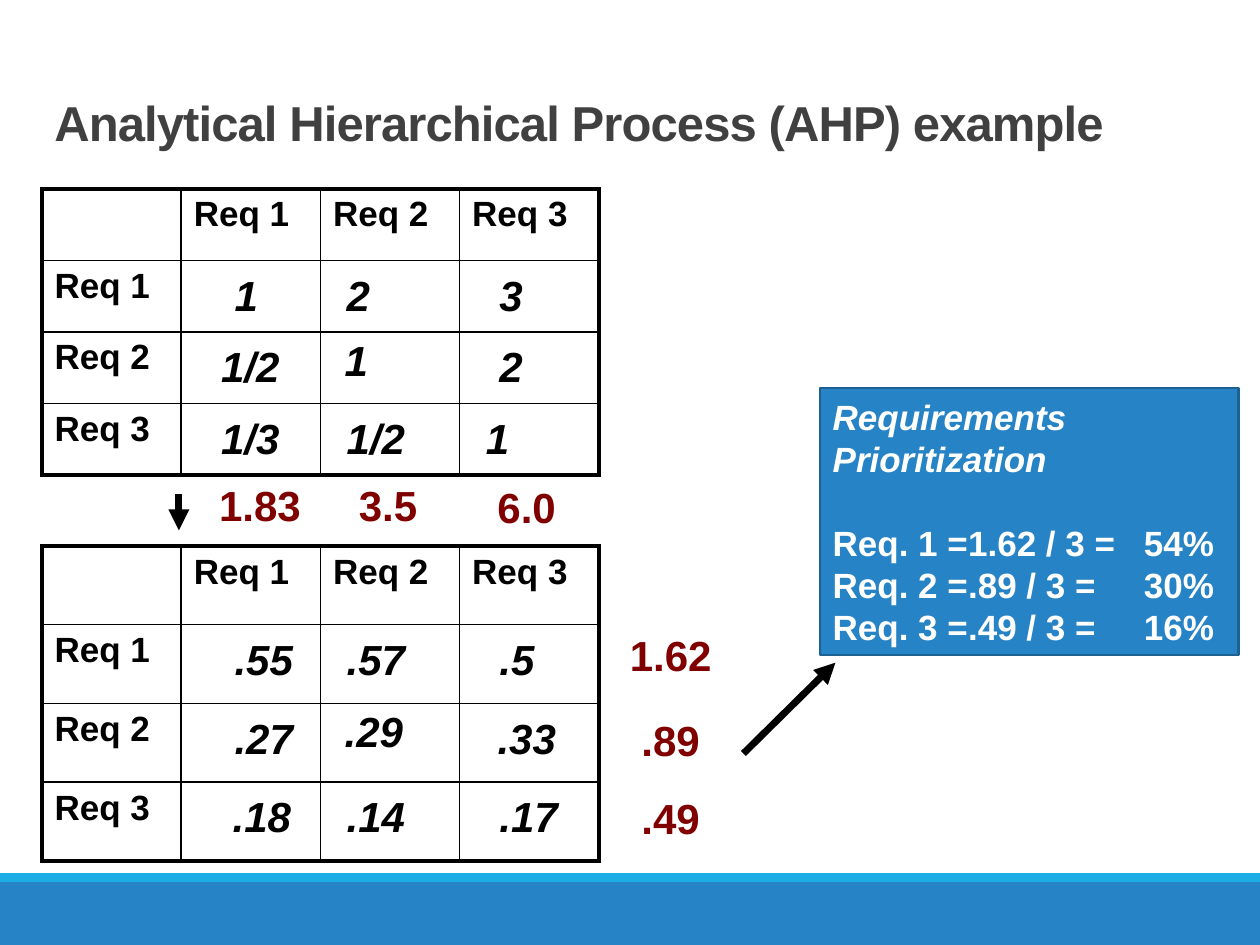
from dataclasses import dataclass

from pptx import Presentation
from pptx.dml.color import RGBColor
from pptx.enum.dml import MSO_LINE
from pptx.enum.shapes import MSO_CONNECTOR as CONN, MSO_SHAPE as SHAPE
from pptx.enum.text import MSO_ANCHOR as ANCHOR, MSO_AUTO_SIZE as AUTO, PP_ALIGN as ALIGN
from pptx.oxml.xmlchemy import OxmlElement
from pptx.util import Pt

BLACK = RGBColor(0x00, 0x00, 0x00)
WHITE = RGBColor(0xFF, 0xFF, 0xFF)
GREY = RGBColor(0x40, 0x40, 0x40)
MAROON = RGBColor(0x80, 0x00, 0x00)
BLUE = RGBColor(0x26, 0x83, 0xC6)
DARK_BLUE = RGBColor(0x1C, 0x61, 0x92)
SKY = RGBColor(0x1C, 0xAD, 0xE4)
FONT = "Arial"
REQS = ("Req 1", "Req 2", "Req 3")
COL_W = 79.56
INSET_X, INSET_Y = 7.2, 3.6
THIN, THICK = 1, 2.25


@dataclass(frozen=True)
class Value:
    text: str
    indent: float
    drop: float = 3.6


@dataclass(frozen=True)
class Matrix:
    top: float
    row_h: float
    values: tuple[tuple[Value, ...], ...]


@dataclass(frozen=True)
class Total:
    text: str
    left: float
    top: float
    width: float


@dataclass(frozen=True)
class Arrow:
    x1: float
    y1: float
    x2: float
    y2: float


@dataclass(frozen=True)
class Priority:
    label: str
    weight: str
    share: str


MATRICES = (
    Matrix(108, 40.86, (
        (Value("1", 23.3), Value("2", 7.8), Value("3", 15.6)),
        (Value("1/2", 15.6), Value("1", 6.7, 0), Value("2", 15.6)),
        (Value("1/3", 15.6), Value("1/2", 7.8), Value("1", 7.8)),
    )),
    Matrix(312, 45, (
        (Value(".55", 23.3), Value(".57", 7.8), Value(".5", 15.6)),
        (Value(".27", 23.3), Value(".29", 6.7, 0), Value(".33", 14.5)),
        (Value(".18", 22.2), Value(".14", 7.8), Value(".17", 15.6)),
    )),
)
TOTALS = (
    Total("1.83", 118.1, 270.7, 61.1),
    Total("3.5", 198, 270.7, 47.8),
    Total("6.0", 277.2, 271.4, 47.8),
    Total("1.62", 352.8, 356.4, 61.1),
    Total(".89", 359.5, 404.6, 47.8),
    Total(".49", 359.5, 449.3, 47.8),
)
ARROWS = (Arrow(102.2, 282.2, 102.2, 303.1), Arrow(424.8, 430.6, 477.4, 378.7))
PRIORITIES = (
    Priority("Req. 1 =", "1.62", "54%"),
    Priority("Req. 2 =", ".89", "30%"),
    Priority("Req. 3 =", ".49", "16%"),
)


def add_run(p, text: str, size: float, color: RGBColor, italic: bool = False):
    r = p.add_run()
    r.text = text
    f = r.font
    f.name, f.size, f.bold, f.italic = FONT, Pt(size), True, italic
    f.color.rgb = color
    return r


def add_rect(s, left: float, top: float, width: float, height: float, fill: RGBColor):
    sp = s.shapes.add_shape(SHAPE.RECTANGLE, Pt(left), Pt(top), Pt(width), Pt(height))
    sp.shadow.inherit = False
    sp.fill.solid()
    sp.fill.fore_color.rgb = fill
    sp.line.fill.background()
    return sp


def add_title(s, text: str) -> None:
    tf = s.shapes.add_textbox(Pt(24), Pt(18), Pt(648), Pt(72)).text_frame
    tf.word_wrap = True
    tf.vertical_anchor = ANCHOR.BOTTOM
    p = tf.paragraphs[0]
    p.line_spacing = 0.85
    r = add_run(p, text, 28, GREY)
    r.font._element.set("spc", "-50")


def set_border(cell, side: str, width: float) -> None:
    ln = OxmlElement(f"a:ln{side}")
    ln.set("w", str(Pt(width)))
    fill = OxmlElement("a:solidFill")
    color = OxmlElement("a:srgbClr")
    color.set("val", str(BLACK))
    fill.append(color)
    ln.append(fill)
    cell._tc.get_or_add_tcPr().append(ln)


def add_matrix(s, m: Matrix) -> None:
    n = len(REQS) + 1
    tbl = s.shapes.add_table(n, n, Pt(24), Pt(m.top), Pt(n * COL_W), Pt(n * m.row_h)).table
    tbl.first_row = tbl.horz_banding = False
    for i in range(n):
        tbl.columns[i].width = Pt(COL_W)
        tbl.rows[i].height = Pt(m.row_h)
    for row in range(n):
        for col in range(n):
            cell = tbl.cell(row, col)
            cell.margin_left = cell.margin_right = Pt(INSET_X)
            cell.margin_top = cell.margin_bottom = Pt(INSET_Y)
            edges = {"L": col == 0, "R": col == n - 1, "T": row == 0, "B": row == n - 1}
            for side, outer in edges.items():
                set_border(cell, side, THICK if outer else THIN)
            cell.fill.background()
            p = cell.text_frame.paragraphs[0]
            if row and col:
                v = m.values[row - 1][col - 1]
                cell.margin_left = Pt(INSET_X + v.indent)
                cell.margin_top = Pt(INSET_Y + v.drop)
                add_run(p, v.text, 24, BLACK, italic=True)
            elif row or col:
                add_run(p, REQS[max(row, col) - 1], 20, BLACK)


def add_total(s, t: Total) -> None:
    tf = s.shapes.add_textbox(Pt(t.left), Pt(t.top), Pt(t.width), Pt(36)).text_frame
    tf.word_wrap = False
    tf.auto_size = AUTO.SHAPE_TO_FIT_TEXT
    add_run(tf.paragraphs[0], t.text, 24, MAROON)


def add_tabs(p, stops: tuple[tuple[float, str], ...]) -> None:
    tabs = OxmlElement("a:tabLst")
    for pos, align in stops:
        tab = OxmlElement("a:tab")
        tab.set("pos", str(Pt(pos)))
        tab.set("algn", align)
        tabs.append(tab)
    p._p.get_or_add_pPr().append(tabs)


def add_priorities(s) -> None:
    sp = add_rect(s, 468.7, 221.8, 239, 152.6, BLUE)
    sp.line.color.rgb = DARK_BLUE
    sp.line.width = Pt(1.25)
    tf = sp.text_frame
    tf.word_wrap = True
    tf.vertical_anchor = ANCHOR.MIDDLE
    add_run(tf.paragraphs[0], "Requirements Prioritization", 20, WHITE, italic=True)
    for i, item in enumerate(PRIORITIES):
        p = tf.add_paragraph()
        add_tabs(p, ((121.7, "r"), (177.9, "l")))
        p.space_before = Pt(0 if i else 24)
        add_run(p, f"{item.label}\t{item.weight} / 3 =\t{item.share}", 20, WHITE)
    for p in tf.paragraphs:
        p.alignment = ALIGN.LEFT
        p.line_spacing = Pt(24)


def add_arrow(s, a: Arrow) -> None:
    cx = s.shapes.add_connector(CONN.STRAIGHT, Pt(a.x1), Pt(a.y1), Pt(a.x2), Pt(a.y2))
    cx.line.color.rgb = BLACK
    cx.line.width = Pt(4)
    cx.line.dash_style = MSO_LINE.SOLID
    tail = OxmlElement("a:tailEnd")
    tail.set("type", "triangle")
    cx.line._get_or_add_ln().append(tail)
    cx._element.spPr.append(OxmlElement("a:effectLst"))


def main() -> None:
    prs = Presentation()
    prs.slide_width, prs.slide_height = Pt(720), Pt(540)
    s = prs.slides.add_slide(prs.slide_layouts[6])
    add_rect(s, 0, 504, 720, 36, BLUE)
    add_rect(s, 0, 499, 720, 5, SKY)
    add_title(s, "Analytical Hierarchical Process (AHP) example")
    for m in MATRICES:
        add_matrix(s, m)
    for t in TOTALS:
        add_total(s, t)
    add_priorities(s)
    for a in ARROWS:
        add_arrow(s, a)
    prs.save("out.pptx")


if __name__ == "__main__":
    main()
